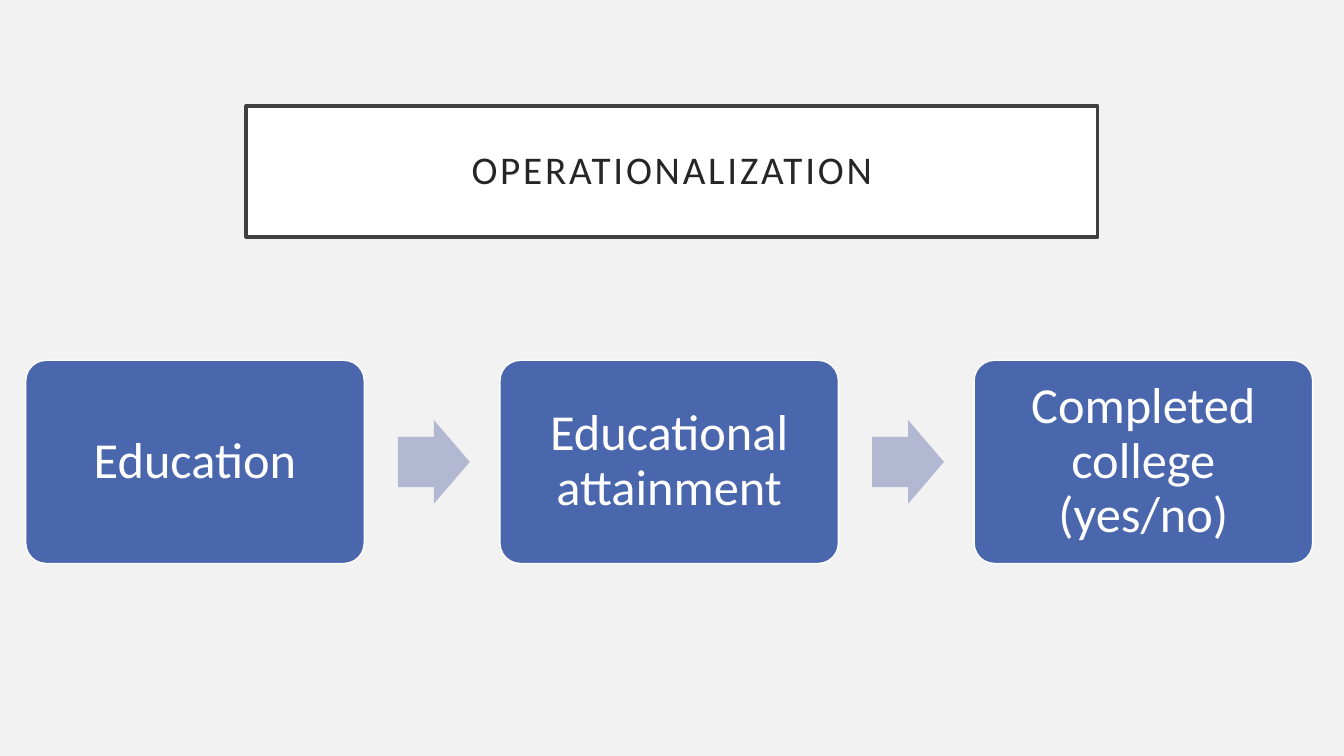
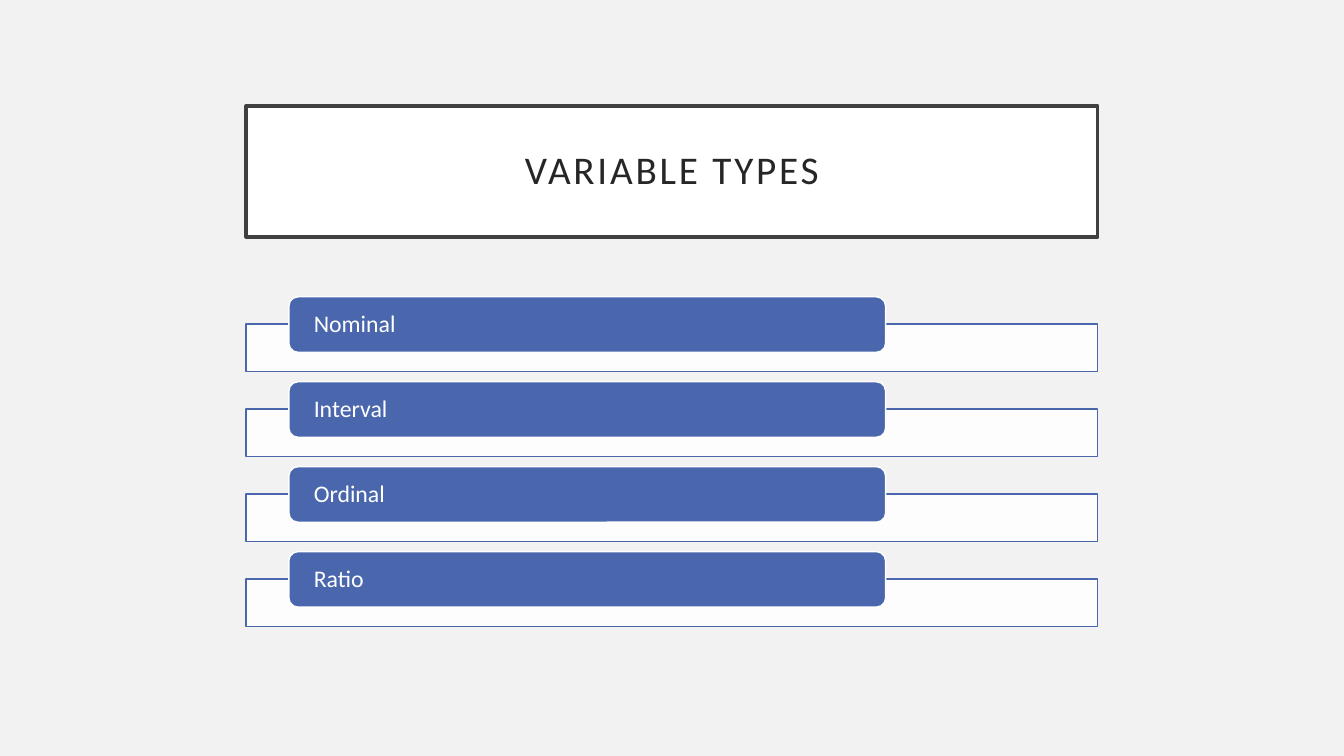
"""Build two slides on operationalization and variable types."""
from dataclasses import dataclass

from lxml import etree
from pptx import Presentation
from pptx.dml.color import RGBColor
from pptx.enum.shapes import MSO_SHAPE as Shape
from pptx.enum.text import MSO_ANCHOR as Anchor, MSO_AUTO_SIZE as AutoSize, PP_ALIGN as Align
from pptx.oxml.ns import qn
from pptx.util import Cm, Pt

FONT = "Calibri"
BLUE, PALE_BLUE, WHITE = "4A66AC", "B2B8D2", "FFFFFF"
GREY, DARK, INK = "F2F2F2", "404040", "262626"
SLIDE_W, SLIDE_H = 33.87, 19.05
TITLE_W = 21.46
TITLE_X = (SLIDE_W - TITLE_W) / 2


@dataclass(frozen=True)
class Box:
    x: float
    y: float
    w: float
    h: float

    def shifted(self, dx: float = 0, dy: float = 0) -> "Box":
        return Box(self.x + dx, self.y + dy, self.w, self.h)


def rgb(color: str) -> RGBColor:
    return RGBColor.from_string(color)


def paint(sp, fill: str, line: str | None = None, width: float = 1, alpha: int = 100) -> None:
    sp.fill.solid()
    sp.fill.fore_color.rgb = rgb(fill)
    if alpha < 100:
        clr = sp.fill._xPr.find(f".//{qn('a:srgbClr')}")
        etree.SubElement(clr, qn("a:alpha")).set("val", str(alpha * 1000))
    if line:
        sp.line.color.rgb = rgb(line)
        sp.line.width = Pt(width)
    else:
        sp.line.fill.background()


def write(sp, text: str, *, size: float, color: str = WHITE, align=Align.CENTER,
          inset: tuple[float, float] = (0, 0), spacing: float = 0) -> None:
    tf = sp.text_frame
    tf.word_wrap, tf.auto_size = True, AutoSize.NONE
    tf.vertical_anchor = Anchor.MIDDLE
    tf.margin_left = tf.margin_right = Cm(inset[0])
    tf.margin_top = tf.margin_bottom = Cm(inset[1])
    p = tf.paragraphs[0]
    p.alignment, p.line_spacing = align, 0.9
    r = p.add_run()
    r.text = text
    r.font.name, r.font.size = FONT, Pt(size)
    r.font.color.rgb = rgb(color)
    if spacing:
        r.font._element.set("spc", str(round(spacing * 100)))


def add_shape(s, kind, box: Box, *adjustments: float):
    sp = s.shapes.add_shape(kind, Cm(box.x), Cm(box.y), Cm(box.w), Cm(box.h))
    sp.shadow.inherit = False
    for i, value in enumerate(adjustments):
        sp.adjustments[i] = value
    return sp


def add_titled_slide(prs, title: str):
    s = prs.slides.add_slide(prs.slide_layouts.get_by_name("Title Only"))
    sp = s.shapes.title
    sp.left, sp.top, sp.width, sp.height = Cm(TITLE_X), Cm(2.67), Cm(TITLE_W), Cm(3.3)
    paint(sp, WHITE, DARK, 2.5)
    write(sp, title, size=28, color=INK, inset=(0.51, 0.51), spacing=2)
    return s


def add_process(s, steps: list[str]) -> None:
    first_step, pitch = Box(0.65, 9.08, 8.53, 5.12), 11.95
    arrow_h = 2.11
    first_arrow = Box(10.03, first_step.y + (first_step.h - arrow_h) / 2, 1.81, arrow_h)
    for i, step in enumerate(steps):
        if i:
            sp = add_shape(s, Shape.RIGHT_ARROW, first_arrow.shifted(dx=(i - 1) * pitch), 0.6, 0.5)
            paint(sp, PALE_BLUE)
        sp = add_shape(s, Shape.ROUNDED_RECTANGLE, first_step.shifted(dx=i * pitch), 0.1)
        paint(sp, BLUE, WHITE)
        write(sp, step, size=36, inset=(0.38, 0.38))


def add_label_list(s, labels: list[str]) -> None:
    first_frame = Box(TITLE_X, 8.17, TITLE_W, 1.2)
    first_label, pitch = Box(7.28, 7.48, 15.04, 1.4), 2.14
    for i, label in enumerate(labels):
        sp = add_shape(s, Shape.RECTANGLE, first_frame.shifted(dy=i * pitch))
        paint(sp, WHITE, BLUE, alpha=90)
        sp = add_shape(s, Shape.ROUNDED_RECTANGLE, first_label.shifted(dy=i * pitch))
        paint(sp, BLUE, WHITE)
        write(sp, label, size=17, align=Align.LEFT, inset=(0.56, 0))


def main() -> None:
    prs = Presentation()
    prs.slide_width, prs.slide_height = Cm(SLIDE_W), Cm(SLIDE_H)
    background = prs.slide_master.background.fill
    background.solid()
    background.fore_color.rgb = rgb(GREY)

    s = add_titled_slide(prs, "OPERATIONALIZATION")
    add_process(s, ["Education", "Educational attainment", "Completed college (yes/no)"])

    s = add_titled_slide(prs, "VARIABLE TYPES")
    add_label_list(s, ["Nominal", "Interval", "Ordinal", "Ratio"])

    prs.save("out.pptx")


main()
